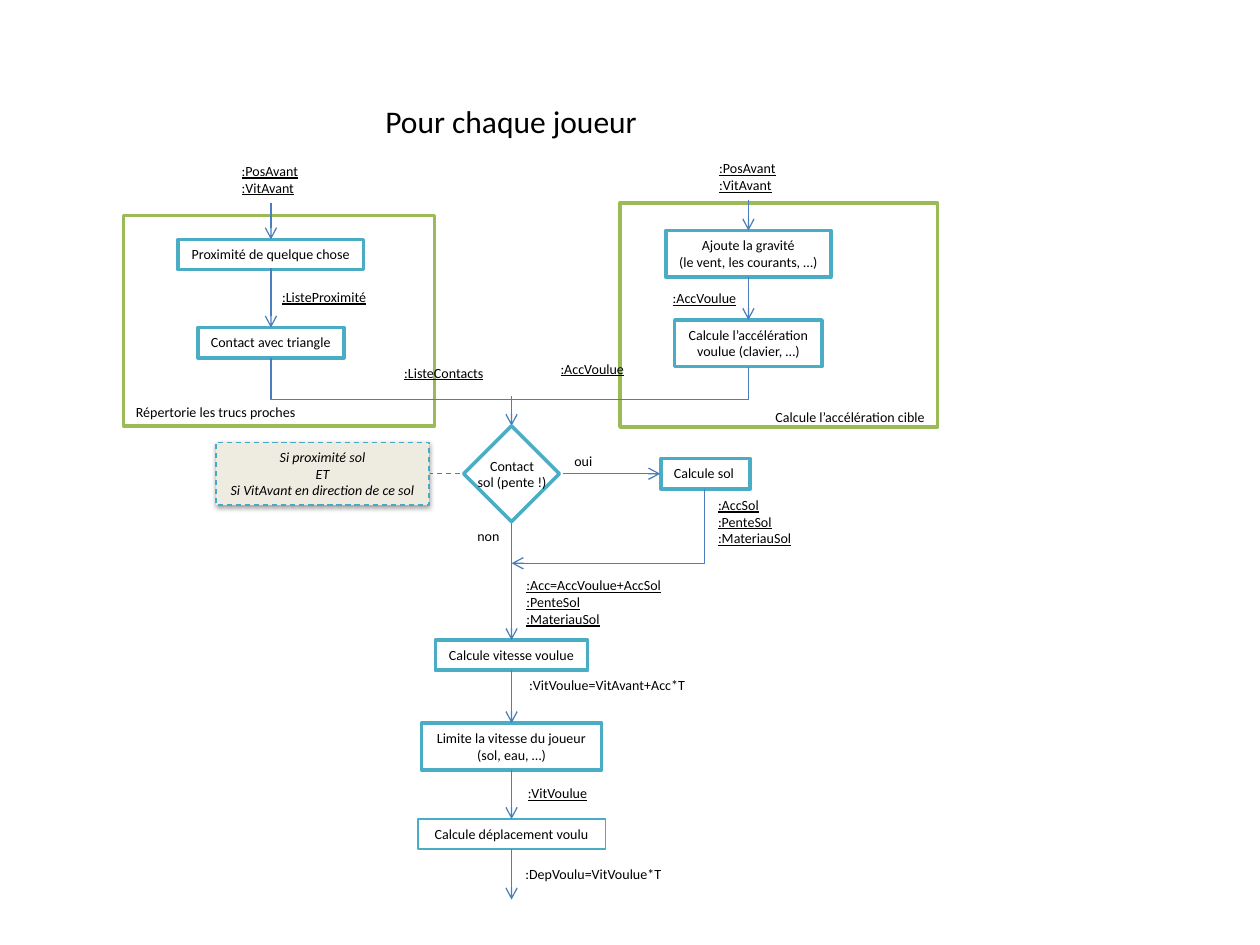
from lxml.etree import SubElement
from pptx import Presentation
from pptx.dml.color import RGBColor
from pptx.enum.dml import MSO_LINE
from pptx.enum.shapes import MSO_CONNECTOR as Link, MSO_SHAPE as Shape
from pptx.enum.text import MSO_AUTO_SIZE as AutoSize, MSO_ANCHOR as Anchor, PP_ALIGN as Align
from pptx.oxml.ns import qn
from pptx.util import Inches, Pt

COLORS = {"white": "FFFFFF", "black": "000000", "zone": "9BBB59", "step": "4BACC6",
          "link": "4B7EBC", "note": "EEECE1", "note_edge": "46AAC5"}


def color(name):
    return RGBColor.from_string(COLORS[name])


def height_of(lines):
    return 0.11 + 0.13 * len(lines)


class Flowchart:
    FONT = {"name": "Calibri", "size": Pt(8), "italic": False, "underline": False}
    FRAME = {"auto_size": AutoSize.SHAPE_TO_FIT_TEXT, "vertical_anchor": Anchor.TOP}

    def __init__(self, slide):
        self.shapes = slide.shapes

    def add_lines(self, shape, lines, align, wrap=False, **font):
        frame = shape.text_frame
        for key, value in {**self.FRAME, "word_wrap": wrap}.items():
            setattr(frame, key, value)
        for i, line in enumerate(lines):
            paragraph = frame.paragraphs[0] if i == 0 else frame.add_paragraph()
            paragraph.alignment = align
            run = paragraph.add_run()
            run.text = line
            for key, value in {**self.FONT, **font}.items():
                setattr(run.font, key, value)
            run.font.color.rgb = color("black")

    def outline(self, line, edge, weight, dashed=False):
        line.color.rgb = color(edge)
        line.width = Pt(weight)
        if dashed:
            line.dash_style = MSO_LINE.DASH

    def panel(self, left, top, width, height, kind=Shape.RECTANGLE,
              fill="white", edge="step", weight=2, dashed=False):
        shape = self.shapes.add_shape(kind, *map(Inches, (left, top, width, height)))
        shape.shadow.inherit = False
        shape.fill.solid()
        shape.fill.fore_color.rgb = color(fill)
        self.outline(shape.line, edge, weight, dashed)
        return shape

    def step(self, center, top, width, lines, italic=False, **look):
        shape = self.panel(center - width / 2, top, width, height_of(lines), **look)
        self.add_lines(shape, lines, Align.CENTER, italic=italic)
        return shape

    def label(self, left, top, width, lines, align=Align.LEFT, wrap=False, **font):
        box = self.shapes.add_textbox(*map(Inches, (left, top, width, height_of(lines))))
        self.add_lines(box, lines, align, wrap, **font)
        return box

    def link(self, start, end, head=True, dashed=False, kind=Link.STRAIGHT):
        line = self.shapes.add_connector(kind, *map(Inches, (*start, *end)))
        self.outline(line.line, "link", 0.75, dashed)
        properties = line._element.spPr
        if head:
            SubElement(properties.find(qn("a:ln")), qn("a:tailEnd"), type="arrow")
        SubElement(properties, qn("a:effectLst"))
        return line

    def elbow(self, left, top, width, height, turn, preset, flip=False, adjust=None, head=True):
        line = self.link((left, top), (left + width, top + height), head, kind=Link.ELBOW)
        frame = line._element.spPr.find(qn("a:xfrm"))
        frame.set("rot", str(turn * 60000))
        if flip:
            frame.set("flipH", "1")
        geometry = line._element.spPr.find(qn("a:prstGeom"))
        geometry.set("prst", preset)
        if adjust:
            guides = geometry.find(qn("a:avLst"))
            if guides is None:
                guides = SubElement(geometry, qn("a:avLst"))
            SubElement(guides, qn("a:gd"), name="adj1", fmla=f"val {adjust}")

    def drop_shadow(self, shape):
        effects = shape._element.spPr.find(qn("a:effectLst"))
        shadow = SubElement(effects, qn("a:outerShdw"), blurRad=str(int(Pt(3.1))),
                            dist=str(int(Pt(1.6))), dir="5400000", rotWithShape="0")
        tone = SubElement(shadow, qn("a:srgbClr"), val=COLORS["black"])
        SubElement(tone, qn("a:alpha"), val="38000")


deck = Presentation()
deck.slide_width, deck.slide_height = Inches(10), Inches(7.5)
chart = Flowchart(deck.slides.add_slide(deck.slide_layouts[6]))

NEARBY, MAIN, TARGET, GROUND = 2.15, 4.06, 5.94, 5.6  # column centres
DECISION = 3.76  # height of the decision row

# Zones
for zone in ((4.92, 1.61, 2.52, 1.78), (0.98, 1.71, 2.47, 1.67)):
    chart.panel(*zone, edge="zone")

# Steps
for center, top, width, *lines in (
    (NEARBY, 1.9, 1.47, "Proximité de quelque chose"),
    (NEARBY, 2.6, 1.16, "Contact avec triangle"),
    (TARGET, 1.83, 1.31, "Ajoute la gravité", "(le vent, les courants, …)"),
    (TARGET, 2.54, 1.17, "Calcule l’accélération", "voulue (clavier, …)"),
    (GROUND, 3.64, 0.71, "Calcule sol "),
    (MAIN, 5.08, 1.21, "Calcule vitesse voulue"),
    (MAIN, 5.74, 1.43, "Limite la vitesse du joueur", "(sol, eau, …)"),
):
    chart.step(center, top, width, lines)
chart.step(MAIN, 6.5, 1.49, ["Calcule déplacement voulu"], weight=1)

# Vertical arrows, column by column
for center, spans in (
    (NEARBY, ((1.61, 1.9), (2.13, 2.6))),
    (TARGET, ((1.59, 1.83), (2.2, 2.54))),
    (MAIN, ((3.14, 3.38), (4.14, 5.08), (5.32, 5.74), (6.11, 6.5), (6.74, 7.14))),
):
    for start, end in spans:
        chart.link((center, start), (center, end))

# Joining branches
chart.elbow(4.01, 0.98, 0.07, 3.79, 270, "bentConnector3", flip=True, adjust=471400, head=False)
chart.elbow(4.53, 3.41, 0.59, 1.53, 90, "bentConnector2")

# Decision
diamond = chart.panel(3.68, 3.38, 0.76, 0.76, kind=Shape.DIAMOND)
question = chart.label(3.65, 3.58, 0.83, ["Contact", "sol (pente !)"], Align.CENTER, wrap=True)
chart.shapes.add_group_shape([diamond, question])
chart.link((4.47, DECISION), (5.24, DECISION))

# Condition note
note = chart.step(2.56, 3.51, 1.69,
                  ["Si proximité sol", "ET", "Si VitAvant en direction de ce sol"],
                  italic=True, fill="note", edge="note_edge", weight=0.75, dashed=True)
chart.drop_shadow(note)
chart.link((3.65, DECISION), (3.41, DECISION), head=False, dashed=True)

# Data passed between steps
for left, top, width, *lines in (
    (1.82, 1.24, 0.66, ":PosAvant", ":VitAvant"),
    (5.61, 1.22, 0.66, ":PosAvant", ":VitAvant"),
    (2.14, 2.24, 0.88, ":ListeProximité"),
    (5.24, 2.25, 0.72, ":AccVoulue"),
    (3.11, 2.84, 0.84, ":ListeContacts"),
    (4.35, 2.81, 0.72, ":AccVoulue"),
    (5.6, 3.89, 0.79, ":AccSol", ":PenteSol", ":MateriauSol"),
    (4.08, 4.53, 1.28, ":Acc=AccVoulue+AccSol", ":PenteSol", ":MateriauSol"),
    (4.09, 6.18, 0.68, ":VitVoulue"),
):
    chart.label(left, top, width, lines, underline=True)
chart.label(4.09, 5.32, 1.46, [":VitVoulue=VitAvant+Acc*T"], Align.CENTER)
chart.label(4.06, 6.82, 1.3, [":DepVoulu=VitVoulue*T"], Align.CENTER)

# Answers, title and zone captions
chart.label(4.46, 3.54, 0.35, ["oui"])
chart.label(3.69, 4.14, 0.38, ["non"])
chart.label(2.96, 0.76, 2.22, ["Pour chaque joueur"], size=Pt(18))
chart.label(0.98, 3.15, 2.47, ["Répertorie les trucs proches"], wrap=True)
chart.label(4.92, 3.19, 2.52, ["Calcule l’accélération cible"], Align.RIGHT, wrap=True)

deck.save("out.pptx")
